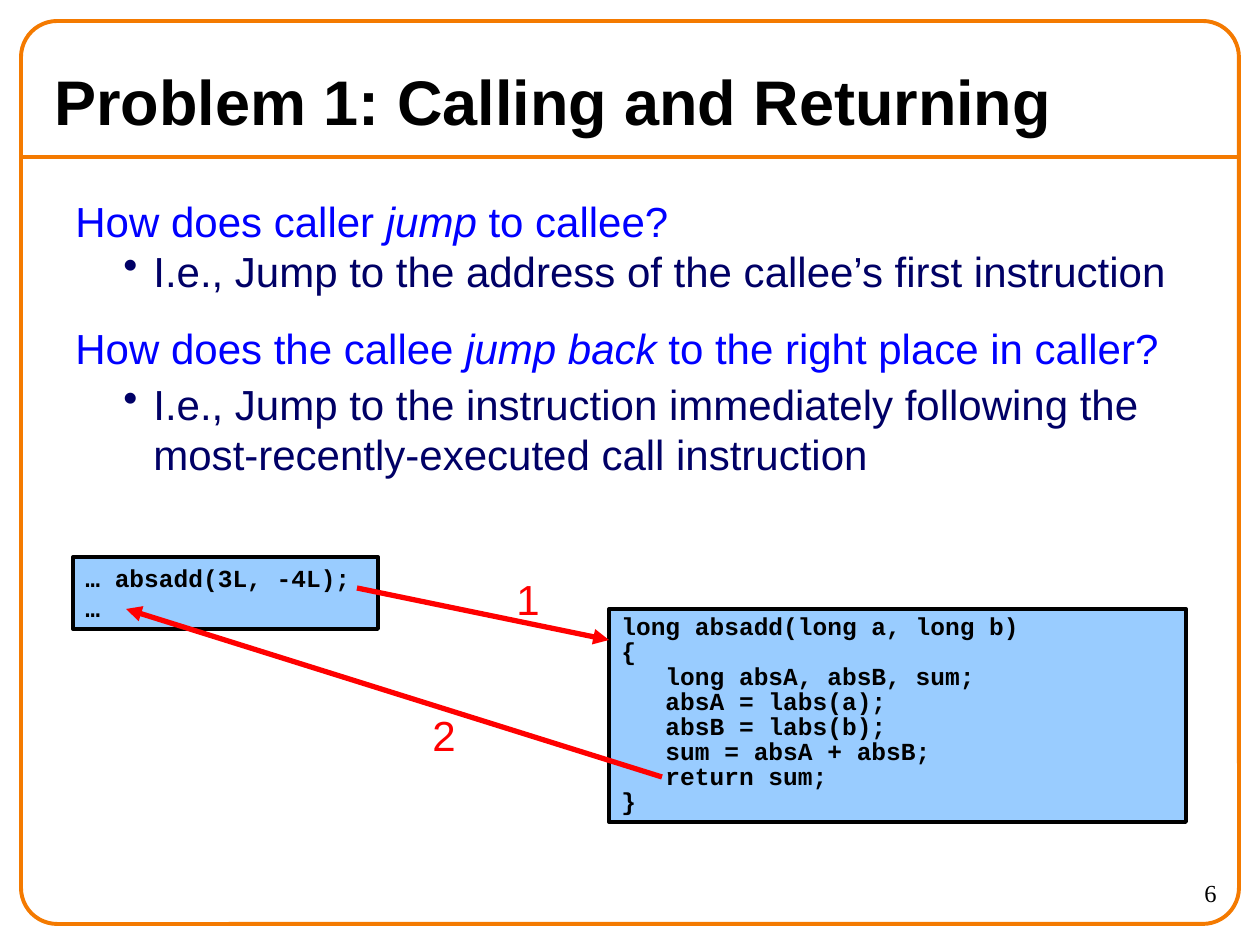
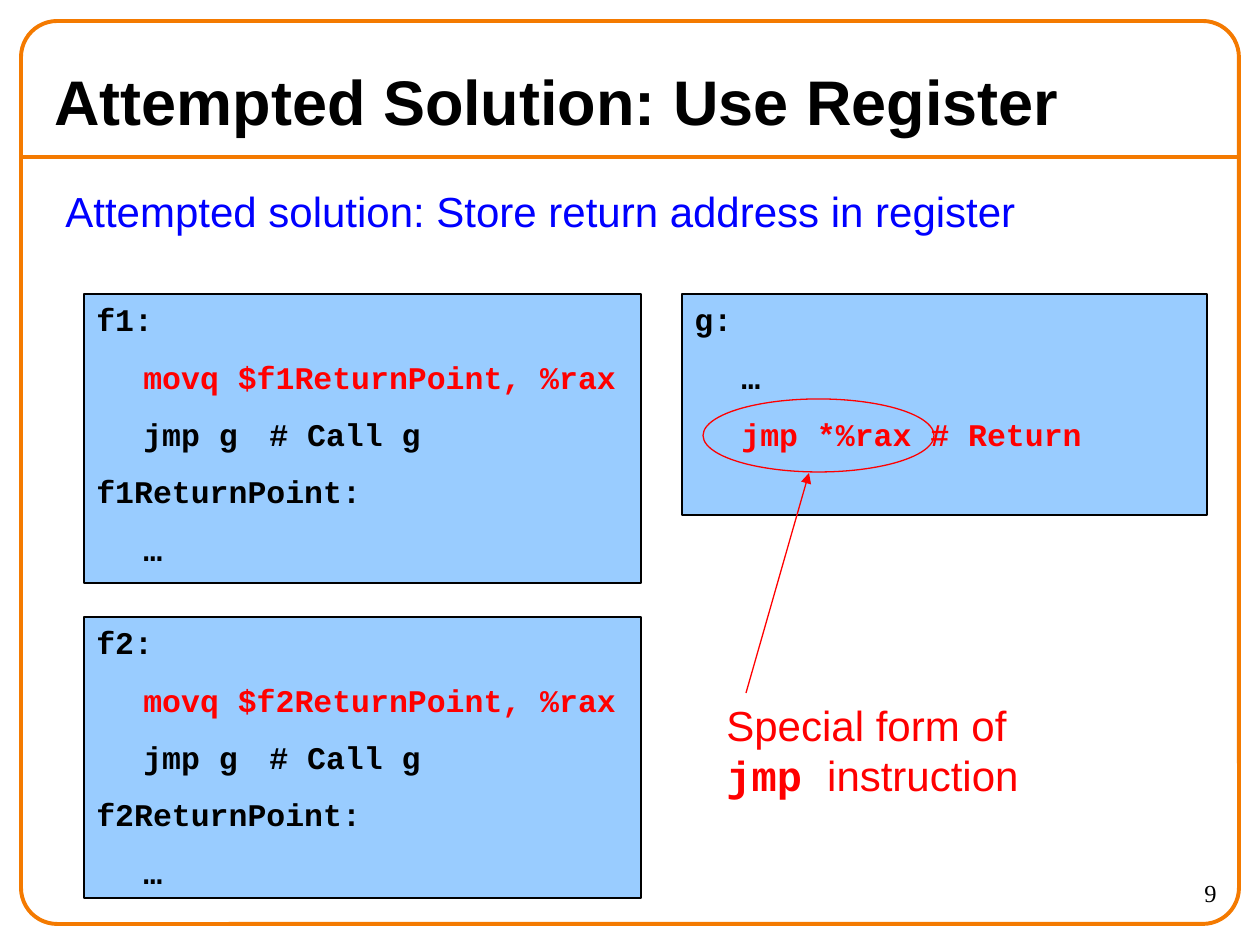
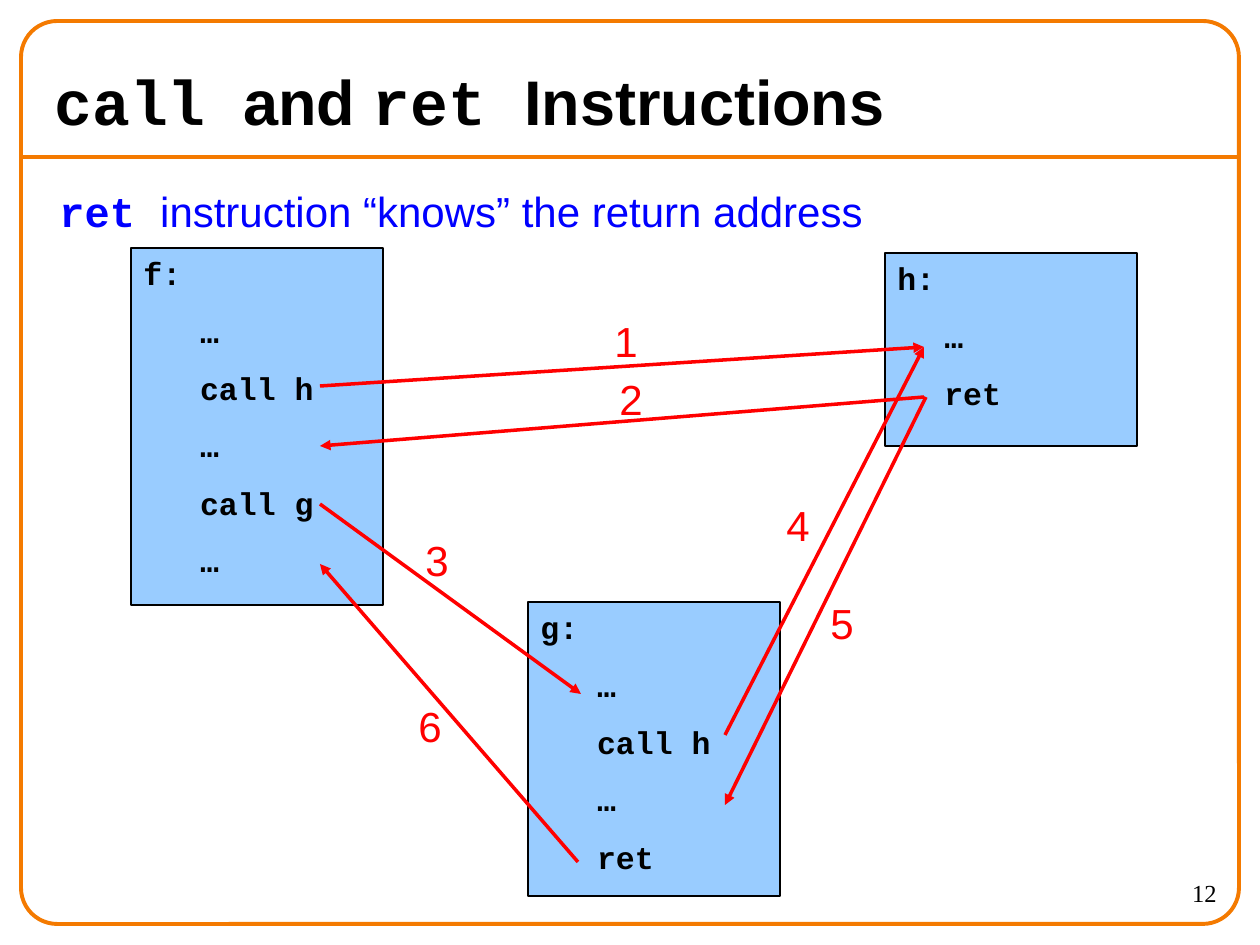
from dataclasses import dataclass, replace

from lxml import etree
from pptx import Presentation
from pptx import util as u
from pptx.dml.color import RGBColor
from pptx.enum import shapes, text
from pptx.oxml.ns import qn

PX = u.Inches(1) / 126  # one scale for every length


@dataclass(frozen=True)
class Style:
    font: str
    size: int
    color: str
    bold: bool = False
    italic: bool = False


class Theme:
    black, red, orange = "000000", "FF0000", "F47A00"
    blue, navy, code_fill = "0000FF", "000066", "99CCFF"
    mono = "Courier New"

    title = Style("Arial", 36, black, bold=True)
    question = Style("Arial", 24, blue)
    answer = Style("Arial", 24, navy)
    label = Style("Arial", 24, red)
    code = Style(mono, 18, black, bold=True)
    small_code = Style(mono, 14, black, bold=True)
    number = Style("Times New Roman", 14, black)


@dataclass(frozen=True)
class Para:
    runs: object  # a string, or a list of (text, style changes)
    style: Style
    before: float = 0
    spacing: float = 1
    left: int = 0
    hang: int = 0
    bullet: str = ""


def emu(px):
    return u.Emu(round(px * PX))


def rgb(color):
    return RGBColor.from_string(color)


# ---- text ----

def format_run(r, style):
    font = r.font
    font.name, font.size = style.font, u.Pt(style.size)
    font.bold, font.italic = style.bold, style.italic
    font.color.rgb = rgb(style.color)


def fill_paragraph(p, para):
    pPr = p._p.get_or_add_pPr()
    if para.left:
        pPr.set("marL", str(emu(para.left)))
        pPr.set("indent", str(emu(-para.hang)))
    if para.bullet:
        etree.SubElement(pPr, qn("a:buChar")).set("char", para.bullet)
    p.line_spacing = para.spacing
    p.space_before = u.Pt(para.before)
    runs = [(para.runs, {})] if isinstance(para.runs, str) else para.runs
    for words, changes in runs:
        if words == "\n":
            p.add_line_break()
            continue
        r = p.add_run()
        r.text = words
        format_run(r, replace(para.style, **changes))


def write(sp, paras, anchor=text.MSO_ANCHOR.TOP, align=text.PP_ALIGN.LEFT):
    tf = sp.text_frame
    tf.word_wrap = True
    tf.vertical_anchor = anchor
    for i, para in enumerate(paras):
        p = tf.add_paragraph() if i else tf.paragraphs[0]
        p.alignment = align
        fill_paragraph(p, para if i else replace(para, before=0))


def add_text(s, box, paras, **options):
    sp = s.shapes.add_textbox(*map(emu, box))
    write(sp, paras, **options)


# ---- shapes and lines ----

def add_outline(s, kind, box, color, width, fill=None):
    sp = s.shapes.add_shape(kind, *map(emu, box))
    sp.shadow.inherit = False
    if fill:
        sp.fill.solid()
        sp.fill.fore_color.rgb = rgb(fill)
    else:
        sp.fill.background()
    sp.line.color.rgb = rgb(color)
    sp.line.width = u.Pt(width)
    return sp


def add_line(s, start, end, color, width, arrow=False):
    cxn = s.shapes.add_connector(shapes.MSO_CONNECTOR.STRAIGHT,
                                 *map(emu, (*start, *end)))
    cxn.line.color.rgb = rgb(color)
    cxn.line.width = u.Pt(width)
    if arrow:
        ln = cxn.line._get_or_add_ln()
        etree.SubElement(ln, qn("a:tailEnd")).set("type", "triangle")
    etree.SubElement(cxn._element.spPr, qn("a:effectLst"))


def add_code(s, box, lines, style=Theme.code, width=0.75, **layout):
    sp = add_outline(s, shapes.MSO_SHAPE.RECTANGLE, box, Theme.black, width,
                     Theme.code_fill)
    write(sp, [Para(line, style, **layout) for line in lines])


def add_listing(s, box, lines):
    add_code(s, box, lines, before=11.2, left=47, hang=47)


def add_step(s, number, left, top):
    add_text(s, (left, top, 73, 63), [Para(str(number), Theme.label)])


# ---- slide frame ----

def add_slide(prs, title, number):
    s = prs.slides.add_slide(prs.slide_layouts[6])
    add_line(s, (21, 157), (1239, 157), Theme.orange, 2.25)
    frame = add_outline(s, shapes.MSO_SHAPE.ROUNDED_RECTANGLE,
                        (21, 21, 1218, 903), Theme.orange, 2.25)
    frame.adjustments[0] = 0.04
    add_text(s, (1103, 872, 126, 53), [Para(str(number), Theme.number)],
             align=text.PP_ALIGN.RIGHT)
    add_text(s, (42, 53, 1176, 95), [Para(title, Theme.title)],
             anchor=text.MSO_ANCHOR.MIDDLE)
    return s


# ---- slides ----

def calling_slide(prs):
    s = add_slide(prs, "Problem 1: Calling and Returning", 6)
    italic = {"italic": True}
    point = {"before": 3, "left": 78, "hang": 30, "bullet": "•"}
    add_text(s, (63, 189, 1166, 315), [
        Para([("How does caller ", {}), ("jump ", italic),
              ("to callee?", {})], Theme.question),
        Para("I.e., Jump to the address of the callee’s first instruction",
             Theme.answer, spacing=0.9, **point),
        Para([("How does the callee ", {}), ("jump back", italic),
              (" to the right place in caller?", {})],
             Theme.question, before=15),
        Para("I.e., Jump to the instruction immediately following the "
             "most-recently-executed call instruction",
             Theme.answer, **point),
    ])
    add_step(s, 1, 504, 567)
    add_step(s, 2, 420, 703)

    # Caller and callee
    add_code(s, (73, 557, 305, 72), ["… absadd(3L, -4L);", "…"],
             Theme.small_code, 2.25)
    add_code(s, (609, 609, 577, 213), [
        "long absadd(long a, long b)",
        "{",
        "   long absA, absB, sum;",
        "   absA = labs(a);",
        "   absB = labs(b);",
        "   sum = absA + absB;",
        "   return sum;",
        "}",
    ], Theme.small_code, 2.25, spacing=0.85)
    add_line(s, (357, 588), (609, 640), Theme.red, 3, arrow=True)
    add_line(s, (662, 777), (126, 609), Theme.red, 3, arrow=True)


def register_slide(prs):
    s = add_slide(prs, "Attempted Solution: Use Register", 9)
    red = {"color": Theme.red}

    # Two callers and the shared callee
    for name, top, height in (("f1", 294, 289), ("f2", 617, 281)):
        add_listing(s, (84, top, 557, height), [
            f"{name}:",
            [(f"\tmovq ${name}ReturnPoint, %rax", red)],
            "\tjmp g\t# Call g",
            f"{name}ReturnPoint:",
            "\t…",
        ])
    add_listing(s, (682, 294, 525, 221),
                ["g:", "\t…", [("\tjmp *%rax\t# Return", red)]])
    add_text(s, (53, 179, 1037, 63), [
        Para("Attempted solution: Store return address in register",
             Theme.question)])

    # Callout on the indirect jump
    add_outline(s, shapes.MSO_SHAPE.OVAL, (703, 399, 231, 73),
                Theme.red, 0.75)
    add_text(s, (714, 693, 347, 113), [
        Para([("Special form of", {}), ("\n", {}),
              ("jmp ", {"font": Theme.mono, "bold": True}),
              ("instruction", {})], Theme.label)])
    add_line(s, (746, 693), (809, 473), Theme.red, 0.75, arrow=True)


def call_ret_slide(prs):
    mono = {"font": Theme.mono}
    s = add_slide(prs, [("call ", mono), ("and ", {}), ("ret ", mono),
                        ("Instructions", {})], 12)
    add_listing(s, (131, 248, 252, 357),
                ["f:", "   …", "   call h", "   …", "   call g", "   …"])
    add_listing(s, (528, 602, 252, 294),
                ["g:", "   …", "   call h", "   …", "   ret"])
    add_listing(s, (885, 253, 252, 193), ["h:", "\t…", "\tret"])
    add_text(s, (47, 179, 891, 63), [
        Para([("ret ", {"font": Theme.mono, "bold": True}),
              ("instruction “knows” the return address", {})],
             Theme.question)])

    # Numbered jumps: start, end, place of the number
    jumps = [
        ((320, 386), (924, 347), (602, 309)),
        ((924, 397), (320, 446), (607, 367)),
        ((320, 504), (581, 694), (413, 528)),
        ((725, 735), (924, 347), (774, 493)),
        ((926, 397), (725, 805), (818, 591)),
        ((578, 862), (320, 564), (406, 694)),
    ]
    for number, (start, end, place) in enumerate(jumps, 1):
        add_line(s, start, end, Theme.red, 2, arrow=True)
        add_step(s, number, *place)


def main():
    prs = Presentation()
    prs.slide_width, prs.slide_height = emu(1260), emu(945)
    calling_slide(prs)
    register_slide(prs)
    call_ret_slide(prs)
    prs.save("out.pptx")


if __name__ == "__main__":
    main()
